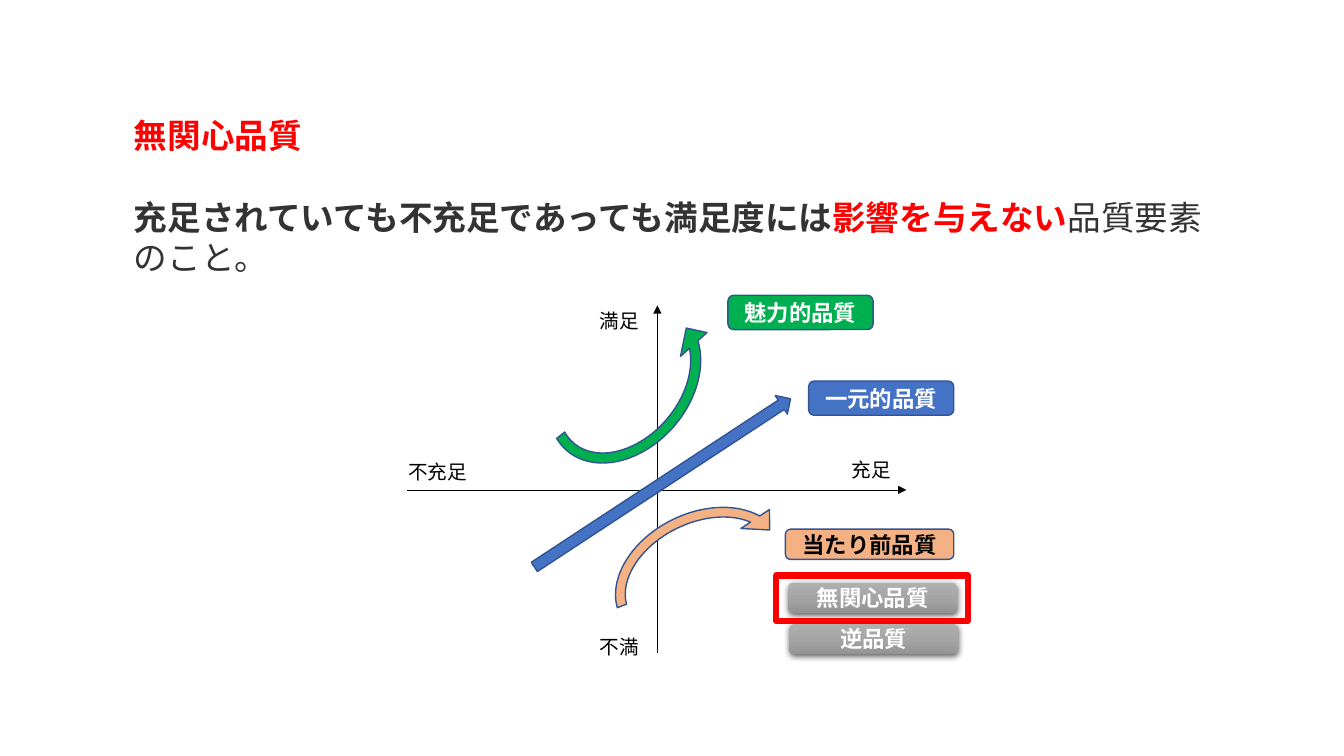
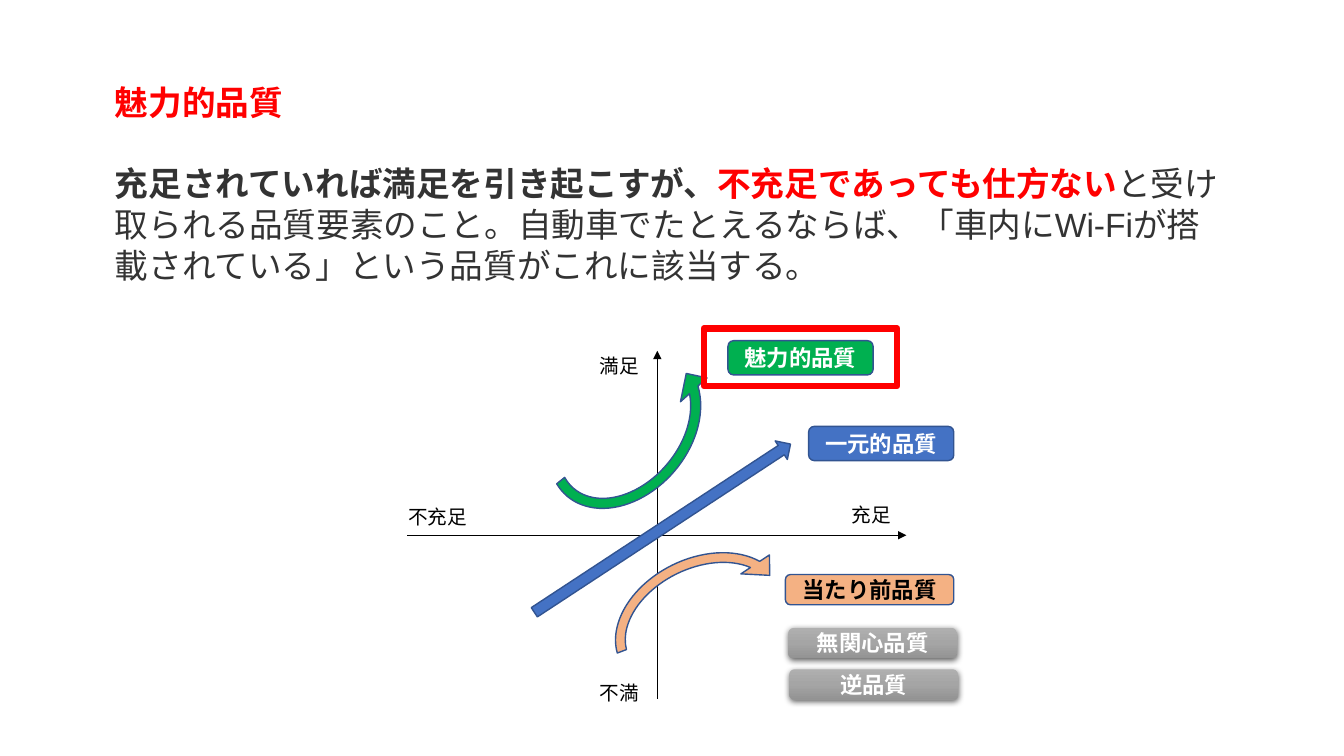
from dataclasses import dataclass

from lxml.etree import SubElement
from pptx import Presentation
from pptx.dml.color import RGBColor
from pptx.enum.shapes import MSO_CONNECTOR, MSO_SHAPE
from pptx.enum.text import MSO_ANCHOR, PP_ALIGN
from pptx.oxml.ns import qn
from pptx.util import Inches, Pt

JAPANESE_FONT = "Noto Sans CJK JP"
LATIN_FONT = "Arial"
RED, BLACK, WHITE, TEXT_GRAY = "FF0000", "000000", "FFFFFF", "333333"
BLUE, GREEN, ORANGE, OUTLINE = "4472C4", "00B050", "F4B183", "325491"
GRAY_STOPS = ((0, "AFAFAF"), (50, "A5A5A5"), (100, "939393"))
LINE_RATIO = 1.21
ROW_GAP = 29


@dataclass(frozen=True)
class Box:
    left: float
    top: float
    width: float
    height: float

    def lengths(self, drop=0.0):
        return (Inches(self.left), Inches(self.top + drop),
                Inches(self.width), Inches(self.height))


@dataclass(frozen=True)
class Trend:
    preset: MSO_SHAPE
    box: Box
    rotation: float
    fill: str
    adjustments: tuple = ()
    flipped: bool = False


@dataclass(frozen=True)
class Badge:
    text: str
    box: Box
    fill: str = ""  # empty means the gray gradient
    color: str = WHITE


@dataclass(frozen=True)
class QualitySlide:
    heading: str
    lead: str
    emphasis: str
    rest: str
    text_box: Box
    highlight: Box
    drop: float  # how far the diagram is moved down


AXES = (
    ((4.04, 4.86), (8.99, 4.86)),
    ((6.52, 6.48), (6.52, 3.03)),
)
TRENDS = (
    Trend(MSO_SHAPE.RIGHT_ARROW, Box(5.05, 4.68, 3.04, 0.22), 326.7, BLUE),
    Trend(MSO_SHAPE.CIRCULAR_ARROW, Box(5.19, 3.03, 2.01, 1.55), 310.6, GREEN,
          (0.065, 7.518, 204.015, 101.766, 0.114), True),
    Trend(MSO_SHAPE.CIRCULAR_ARROW, Box(5.94, 4.97, 2.01, 1.49), 333.9, ORANGE,
          (0.065, 7.518, 204.015, 111.124, 0.114)),
)
AXIS_LABELS = (
    ("満足", Box(5.85, 2.99, 0.7, 0.34)),
    ("不満", Box(5.85, 6.23, 0.7, 0.34)),
    ("不充足", Box(3.95, 4.49, 0.84, 0.34)),
    ("充足", Box(8.35, 4.47, 0.7, 0.34)),
)
BADGES = (
    Badge("一元的品質", Box(8.02, 3.78, 1.44, 0.34), BLUE),
    Badge("当たり前品質", Box(7.79, 5.25, 1.67, 0.3), ORANGE, BLACK),
    Badge("魅力的品質", Box(7.22, 2.93, 1.44, 0.34), GREEN),
    Badge("無関心品質", Box(7.82, 5.78, 1.67, 0.3)),
    Badge("逆品質", Box(7.83, 6.19, 1.67, 0.3)),
)
SLIDES = (
    QualitySlide(
        "無関心品質",
        "充足されていても不充足であっても満足度には",
        "影響を与えない",
        "品質要素のこと。",
        Box(1.23, 1.07, 11.01, 1.72), Box(7.7, 5.71, 1.9, 0.45), 0),
    QualitySlide(
        "魅力的品質",
        "充足されていれば満足を引き起こすが、",
        "不充足であっても仕方ない",
        "と受け取られる品質要素のこと。自動車でたとえるならば、"
        "「車内にWi-Fiが搭載されている」という品質がこれに該当する。",
        Box(1.04, 0.74, 11.25, 2.12), Box(6.98, 3.26, 1.92, 0.57), 0.45),
)


def rgb(color: str) -> RGBColor:
    return RGBColor.from_string(color)


def add_text(paragraph, text: str, *, size: float, color: str,
             bold: bool = False, latin: str = JAPANESE_FONT) -> None:
    run = paragraph.add_run()
    run.text = text
    font = run.font
    font.size, font.bold, font.name = Pt(size), bold, latin
    font.color.rgb = rgb(color)
    SubElement(run._r.get_or_add_rPr(), qn("a:ea"), typeface=JAPANESE_FONT)


def add_text_frame(slide, box: Box, drop: float = 0):
    frame = slide.shapes.add_textbox(*box.lengths(drop)).text_frame
    frame.word_wrap = True
    frame.margin_top = Inches(0.07)
    return frame


def add_preset(slide, preset: MSO_SHAPE, box: Box, drop: float = 0, *,
               fill: str = "", line: str = OUTLINE, line_width: float = 1):
    shape = slide.shapes.add_shape(preset, *box.lengths(drop))
    shape.shadow.inherit = False
    if fill:
        shape.fill.solid()
        shape.fill.fore_color.rgb = rgb(fill)
    else:
        shape.fill.background()
    if line:
        shape.line.color.rgb = rgb(line)
        shape.line.width = Pt(line_width)
    else:
        shape.line.fill.background()
    return shape


def add_gray_relief(shape) -> None:
    """Give the shape a vertical gray gradient and a soft shadow below."""
    shape.fill.gradient()
    shape.fill.gradient_angle = 270
    properties = shape._element.spPr
    stops = properties.find(qn("a:gradFill")).find(qn("a:gsLst"))
    for stop in list(stops):
        stops.remove(stop)
    for percent, color in GRAY_STOPS:
        stop = SubElement(stops, qn("a:gs"), pos=str(percent * 1000))
        SubElement(stop, qn("a:srgbClr"), val=color)
    shadow = SubElement(
        properties.find(qn("a:effectLst")), qn("a:outerShdw"),
        blurRad=str(Pt(4.5)), dist=str(Pt(1.5)), dir="5400000",
        algn="ctr", rotWithShape="0")
    shadow_color = SubElement(shadow, qn("a:srgbClr"), val=BLACK)
    SubElement(shadow_color, qn("a:alpha"), val="63000")


def add_axis(slide, start: tuple, end: tuple, drop: float) -> None:
    axis = slide.shapes.add_connector(
        MSO_CONNECTOR.STRAIGHT,
        Inches(start[0]), Inches(start[1] + drop),
        Inches(end[0]), Inches(end[1] + drop))
    axis.line.color.rgb = rgb(BLACK)
    axis.line.width = Pt(0.5)
    SubElement(axis.line._get_or_add_ln(), qn("a:tailEnd"), type="triangle")
    SubElement(axis._element.spPr, qn("a:effectLst"))


def add_trend(slide, trend: Trend, drop: float) -> None:
    arrow = add_preset(slide, trend.preset, trend.box, drop, fill=trend.fill)
    arrow.rotation = trend.rotation
    for index, value in enumerate(trend.adjustments):
        arrow.adjustments[index] = value
    if trend.flipped:
        arrow._element.spPr.find(qn("a:xfrm")).set("flipV", "1")


def add_badge(slide, badge: Badge, drop: float) -> None:
    shape = add_preset(slide, MSO_SHAPE.ROUNDED_RECTANGLE, badge.box, drop,
                       fill=badge.fill, line=OUTLINE if badge.fill else "")
    if not badge.fill:
        add_gray_relief(shape)
    frame = shape.text_frame
    frame.vertical_anchor = MSO_ANCHOR.MIDDLE
    frame.paragraphs[0].alignment = PP_ALIGN.CENTER
    add_text(frame.paragraphs[0], badge.text, size=16, color=badge.color,
             bold=True)


def add_description(slide, content: QualitySlide) -> None:
    frame = add_text_frame(slide, content.text_box)
    heading, body = frame.paragraphs[0], frame.add_paragraph()
    heading.line_spacing = body.line_spacing = Pt(24 * LINE_RATIO)
    body.space_before = Pt(ROW_GAP)
    add_text(heading, content.heading, size=24, color=RED, bold=True)
    for text, color, bold in ((content.lead, TEXT_GRAY, True),
                              (content.emphasis, RED, True),
                              (content.rest, TEXT_GRAY, False)):
        add_text(body, text, size=24, color=color, bold=bold, latin=LATIN_FONT)


def add_diagram(slide, drop: float) -> None:
    for start, end in AXES:
        add_axis(slide, start, end, drop)
    for trend in TRENDS:
        add_trend(slide, trend, drop)
    for text, box in AXIS_LABELS:
        label = add_text_frame(slide, box, drop).paragraphs[0]
        label.line_spacing = Pt(14 * LINE_RATIO)
        add_text(label, text, size=14, color=BLACK)
    for badge in BADGES:
        add_badge(slide, badge, drop)


def main() -> None:
    presentation = Presentation()
    presentation.slide_width = Inches(13.33)
    presentation.slide_height = Inches(7.5)
    blank = presentation.slide_layouts[6]
    for content in SLIDES:
        slide = presentation.slides.add_slide(blank)
        add_description(slide, content)
        add_diagram(slide, content.drop)
        add_preset(slide, MSO_SHAPE.RECTANGLE, content.highlight,
                   line=RED, line_width=4.5)
    presentation.save("out.pptx")


if __name__ == "__main__":
    main()
